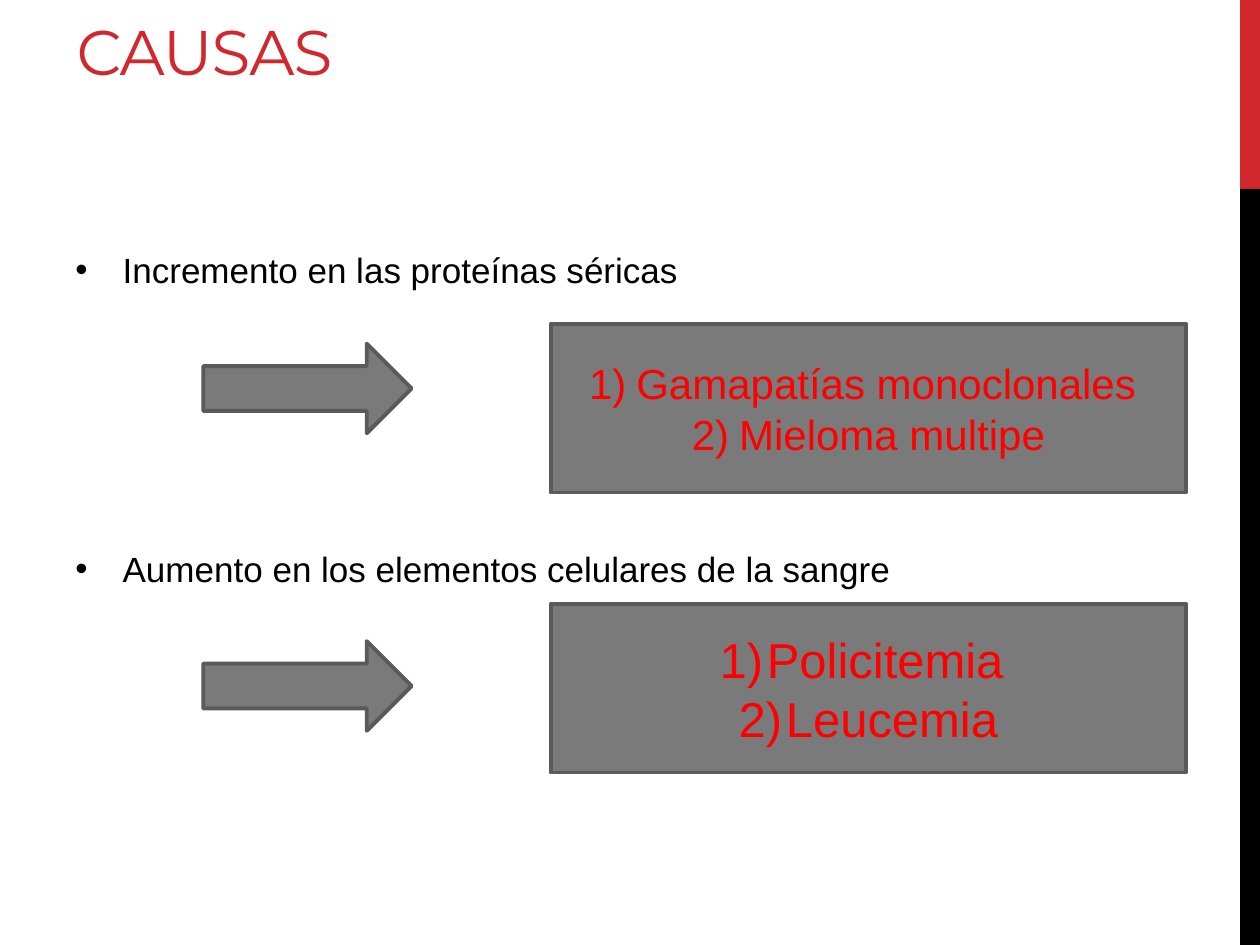
from dataclasses import dataclass

from lxml import etree
from pptx import Presentation
from pptx import util as u
from pptx.dml.color import RGBColor
from pptx.enum import shapes, text
from pptx.oxml.ns import qn


@dataclass(frozen=True)
class Theme:
    accent: str = "D1282E"
    ink: str = "000000"
    panel: str = "7A7A7A"
    edge: str = "5A5A5A"
    answer: str = "FF0000"
    title_font: str = "Montserrat"
    body_font: str = "Arial"
    title_size: float = 36
    body_size: float = 20
    edge_width: float = 2.25
    hang: float = 27


class Page:
    def __init__(self, slide, theme):
        self.slide = slide
        self.theme = theme

    def block(self, kind, bounds, fill, edge=None):
        block = self.slide.shapes.add_shape(kind, *map(u.Pt, bounds))
        block.shadow.inherit = False
        block.fill.solid()
        block.fill.fore_color.rgb = RGBColor.from_string(fill)
        if edge:
            block.line.color.rgb = RGBColor.from_string(edge)
            block.line.width = u.Pt(self.theme.edge_width)
        else:
            block.line.fill.background()
        return block

    def run(self, paragraph, words, font, size, color):
        run = paragraph.add_run()
        run.text = words
        run.font.name = font
        run.font.size = u.Pt(size)
        run.font.color.rgb = RGBColor.from_string(color)
        return run

    def frame(self, bounds, anchor):
        frame = self.slide.shapes.add_textbox(*map(u.Pt, bounds)).text_frame
        frame.word_wrap = True
        frame.vertical_anchor = anchor
        return frame

    def title(self, bounds, words):
        frame = self.frame(bounds, text.MSO_ANCHOR.BOTTOM)
        heading = self.run(frame.paragraphs[0], words, self.theme.title_font,
                           self.theme.title_size, self.theme.accent)
        heading.font._element.set("spc", "-60")

    def items(self, frame, lines, size, color, align, marker, gap=0):
        for index, words in enumerate(lines):
            item = frame.add_paragraph() if index else frame.paragraphs[0]
            item.alignment = align
            if index and gap:
                item.space_before = u.Pt(gap)
            properties = item._p.get_or_add_pPr()
            properties.set("marL", str(u.Pt(self.theme.hang)))
            properties.set("indent", str(-u.Pt(self.theme.hang)))
            tag, attribute, value = marker
            etree.SubElement(properties, qn("a:buFont")).set("typeface", self.theme.body_font)
            etree.SubElement(properties, qn(tag)).set(attribute, value)
            self.run(item, words, self.theme.body_font, size, color)

    def bullets(self, bounds, lines, gap):
        frame = self.frame(bounds, text.MSO_ANCHOR.TOP)
        self.items(frame, lines, self.theme.body_size, self.theme.ink,
                   text.PP_ALIGN.LEFT, ("a:buChar", "char", "•"), gap)

    def arrow(self, bounds):
        self.block(shapes.MSO_SHAPE.RIGHT_ARROW, bounds, self.theme.panel, self.theme.edge)

    def numbered_panel(self, bounds, lines, size):
        panel = self.block(shapes.MSO_SHAPE.RECTANGLE, bounds, self.theme.panel, self.theme.edge)
        frame = panel.text_frame
        frame.word_wrap = True
        frame.vertical_anchor = text.MSO_ANCHOR.MIDDLE
        self.items(frame, lines, size, self.theme.answer, text.PP_ALIGN.CENTER,
                   ("a:buAutoNum", "type", "arabicParenR"))


def main():
    deck = Presentation()
    deck.slide_width, deck.slide_height = u.Pt(720), u.Pt(540)
    theme = Theme()
    page = Page(deck.slides.add_slide(deck.slide_layouts[6]), theme)

    for top, height, color in ((0, 108, theme.accent), (108, 432, theme.ink)):
        page.block(shapes.MSO_SHAPE.RECTANGLE, (708.6, top, 11.4, height), color)

    page.title((36.7, -54, 455.8, 108), "CAUSAS")
    page.bullets((36, 138.2, 599.8, 344.2),
                 ("Incremento en las proteínas séricas",
                  "Aumento en los elementos celulares de la sangre"), gap=147.3)

    causes = (
        (196.4, 185, ("Gamapatías monoclonales\u00a0".replace("\u00a0", " "), "Mieloma multipe"), 24),
        (366.4, 345, ("Policitemia ", "Leucemia"), 28),
    )
    for arrow_top, panel_top, diseases, size in causes:
        page.arrow((116.2, arrow_top, 119, 51.2))
        page.numbered_panel((314.7, panel_top, 363, 96.5), diseases, size)

    deck.save("out.pptx")


if __name__ == "__main__":
    main()
